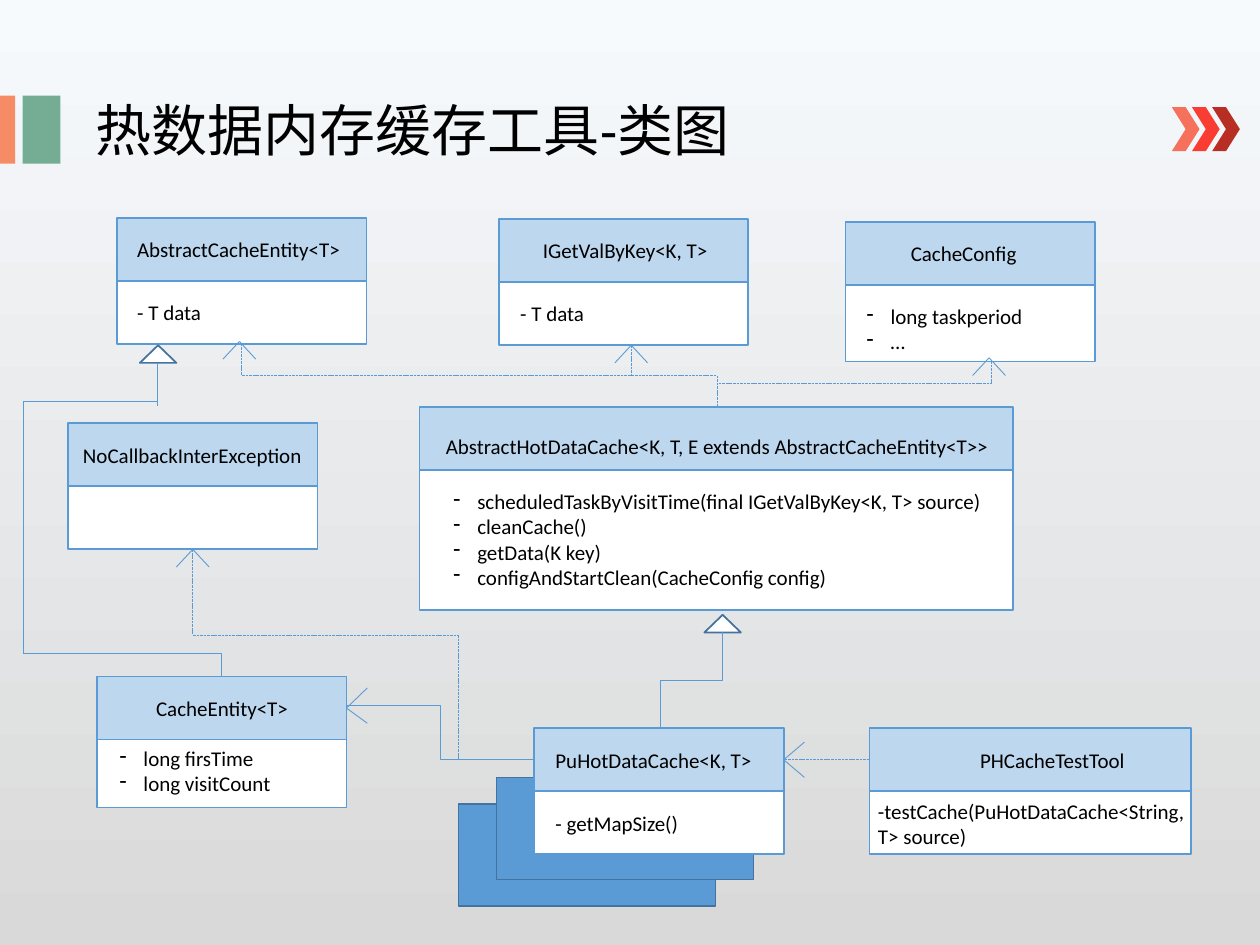
import pptx
import pptx.util
import pptx.dml.color
import pptx.enum.dml
import pptx.enum.shapes
import pptx.enum.text
import pptx.oxml.ns
import lxml.etree

COLORS = {
    "top": "F7FAFD", "bottom": "D9D9D9", "black": "000000", "white": "FFFFFF",
    "header": "BDD7EE", "blue": "5B9BD5", "edge": "43739E",
    "orange": "F58C65", "green": "74AD93",
    "coral": "F5715B", "red": "F93D32", "brick": "B82E24",
}
COLS, ROWS = 100, 75
SHAPE = pptx.enum.shapes.MSO_SHAPE
CONNECTOR = pptx.enum.shapes.MSO_CONNECTOR
TOP, LEFT, BOTTOM, RIGHT = range(4)


def rgb(name):
    return pptx.dml.color.RGBColor.from_string(COLORS[name])


def add_child(parent, tag, **attrs):
    e = lxml.etree.SubElement(parent, pptx.oxml.ns.qn(tag))
    for key, value in attrs.items():
        e.set(key, str(value))
    return e


def write(p, text, size=12, color="black", font="Calibri", bullet=None):
    r = p.add_run()
    r.text = text
    r.font.size = pptx.util.Pt(size)
    r.font.name = font
    r.font.color.rgb = rgb(color)
    if bullet:
        pPr = p._p.get_or_add_pPr()
        indent = pptx.util.Inches(0.19)
        pPr.set("marL", str(indent))
        pPr.set("indent", str(-indent))
        add_child(pPr, "a:buChar", char=bullet)


class Diagram:
    def __init__(self, prs):
        self.col = prs.slide_width / COLS
        self.row = prs.slide_height / ROWS
        self.s = prs.slides.add_slide(prs.slide_layouts[6])

    def x(self, n):
        return round(n * self.col)

    def y(self, n):
        return round(n * self.row)

    def background(self, first, last):
        fill = self.s.background.fill
        fill.gradient()
        fill.gradient_angle = 270
        for stop, color, position in zip(fill.gradient_stops, (first, last), (0, 1)):
            stop.color.rgb = rgb(color)
            stop.position = position

    def shape(self, x, y, w, h, fill, line=None, kind=SHAPE.RECTANGLE):
        sp = self.s.shapes.add_shape(kind, self.x(x), self.y(y), self.x(w), self.y(h))
        sp.shadow.inherit = False
        sp.fill.solid()
        sp.fill.fore_color.rgb = rgb(fill)
        if line:
            sp.line.color.rgb = rgb(line)
            sp.line.width = pptx.util.Pt(1)
        else:
            sp.line.fill.background()
        return sp

    def text(self, x, y, w, h, lines, **style):
        sp = self.s.shapes.add_textbox(self.x(x), self.y(y), self.x(w), self.y(h))
        tf = sp.text_frame
        tf.word_wrap = True
        tf.auto_size = pptx.enum.text.MSO_AUTO_SIZE.SHAPE_TO_FIT_TEXT
        for i, line in enumerate(lines):
            p = tf.add_paragraph() if i else tf.paragraphs[0]
            write(p, line, **style)

    def uml(self, x, y, name, name_dx, members=(), members_dx=0.7, members_dy=1, w=19.8,
            body=5, name_dy=1, text_w=21.9, bullet=None):
        head = self.shape(x, y, w, 5, "header", "blue")
        base = self.shape(x, y + 5, w, body, "white", "blue")
        self.text(x + name_dx, y + name_dy, text_w, 3, [name])
        if members:
            self.text(x + members_dx, y + 5 + members_dy, text_w, 1 + 2 * len(members),
                      members, bullet=bullet)
        return head, base

    def line(self, start, end, dash=False, kind=CONNECTOR.STRAIGHT, begin=None, finish=None):
        c = self.s.shapes.add_connector(kind, self.x(start[0]), self.y(start[1]),
                                        self.x(end[0]), self.y(end[1]))
        c.line.color.rgb = rgb("blue")
        c.line.width = pptx.util.Pt(0.5)
        if dash:
            c.line.dash_style = pptx.enum.dml.MSO_LINE.SQUARE_DOT
        add_child(c._element.spPr, "a:effectLst")
        if begin:
            c.begin_connect(*begin)
        if finish:
            c.end_connect(*finish)
        return c

    def elbow(self, start, end, dash=False, vertical=True, corner=False, bend=None):
        (x1, y1), (x2, y2) = start, end
        turn = 0
        if vertical:
            turn = 90 if x2 > x1 and y2 < y1 else 270
            sign = 1 if turn == 90 else -1
            cx, cy = (x1 + x2) / 2, (y1 + y2) / 2
            dx, dy = sign * (y2 - y1) / 2, sign * (x1 - x2) / 2
            start, end = (cx - dx, cy - dy), (cx + dx, cy + dy)
        c = self.line(start, end, dash, CONNECTOR.ELBOW)
        spPr = c._element.spPr
        if turn:
            spPr.find(pptx.oxml.ns.qn("a:xfrm")).set("rot", str(turn * 60000))
        geom = spPr.find(pptx.oxml.ns.qn("a:prstGeom"))
        if corner:
            geom.set("prst", "bentConnector2")
        if bend is not None:
            guides = geom.find(pptx.oxml.ns.qn("a:avLst"))
            add_child(guides, "a:gd", name="adj1", fmla=f"val {round(bend * 100000)}")

    def open_arrow(self, tip, upward=True, target=None):
        x, y = tip
        for side in (-1, 1):
            tail = (x + side * 1.3, y + 1.4) if upward else (x + 1.65, y + side * 1.4)
            self.line(tail, tip, finish=target)

    def triangle(self, x, y):
        self.shape(x, y, 2.9, 1.4, "white", "edge", SHAPE.ISOSCELES_TRIANGLE)


def main():
    prs = pptx.Presentation()
    prs.slide_width = pptx.util.Inches(10)
    prs.slide_height = pptx.util.Inches(7.5)
    d = Diagram(prs)
    d.background("top", "bottom")

    for x, y in ((36.4, 63.8), (39.4, 61.7)):
        d.shape(x, y, 20.4, 8.1, "blue", "edge")
    d.shape(0, 7.6, 1.2, 5.4, "orange")
    d.shape(1.8, 7.6, 3, 5.4, "green")
    d.text(6.6, 7.1, 69.7, 6.4, ["热数据内存缓存工具-类图"], size=32)
    for i, color in enumerate(("coral", "red", "brick")):
        d.shape(93 + 1.6 * i, 8.5, 2.2, 3.5, color, kind=SHAPE.CHEVRON)

    d.uml(33.3, 32.3, "AbstractHotDataCache<K, T, E extends AbstractCacheEntity<T>>", 1.1,
          ["scheduledTaskByVisitTime(final IGetValByKey<K, T> source)", "cleanCache()",
           "getData(K key)", "configAndStartClean(CacheConfig config)"],
          members_dx=1.7, w=47.1, body=11.1, name_dy=1.6, text_w=66, bullet="-")
    cache_head, _ = d.uml(42.4, 57.8, "PuHotDataCache<K, T>", 0.7, ["- getMapSize()"])
    d.uml(9.3, 17.3, "AbstractCacheEntity<T>", 0.6, ["- T data"], 0.6)
    d.uml(67.1, 17.6, "CacheConfig", 4.2, ["long taskperiod", "…"], body=6.1, bullet="-")
    d.uml(39.6, 17.4, "IGetValByKey<K, T>", 2.5, ["- T data"])
    _, exception_body = d.uml(5.4, 33.6, "NoCallbackInterException", 0.2)
    tool_head, _ = d.uml(69, 57.8, "PHCacheTestTool", 7.8,
                         ["-testCache(PuHotDataCache<String, T> source)"],
                         -0.3, 0.1, w=25.5, text_w=26.4)
    entity_head, _ = d.uml(7.7, 53.7, "CacheEntity<T>", 3.7, ["long firsTime", "long visitCount"],
                           0.8, 0, body=5.4, bullet="-")

    d.triangle(55.9, 48.8)
    d.elbow((52.4, 57.8), (57.3, 50.2))
    d.triangle(11.1, 27.4)
    d.elbow((17.6, 53.7), (1.8, 51.9), corner=True)
    d.elbow((1.9, 51.9), (12.5, 32.2), bend=1.015)
    d.line((12.5, 32), (12.5, 28.8))

    d.elbow((56.9, 32.3), (19.2, 27.3), dash=True)
    d.elbow((56.9, 32.3), (78.7, 28.6), dash=True)
    d.line((50.1, 27.4), (50.1, 29.8), dash=True)
    for tip in ((19, 27.1), (50.1, 27.4), (78.5, 28.4)):
        d.open_arrow(tip)

    d.elbow((15.3, 43.6), (36.4, 50.4), dash=True, corner=True)
    d.elbow((36.4, 50.4), (42.4, 60.3), dash=True, corner=True)
    d.open_arrow((15.3, 43.6), target=(exception_body, BOTTOM))
    d.elbow((42.4, 60.3), (27.5, 56), vertical=False)
    d.open_arrow((27.5, 56), upward=False, target=(entity_head, RIGHT))
    d.line((69, 60.3), (62.2, 60.3), dash=True,
           begin=(tool_head, LEFT), finish=(cache_head, RIGHT))
    d.open_arrow((62.2, 60.3), upward=False, target=(cache_head, RIGHT))

    prs.save("out.pptx")


if __name__ == "__main__":
    main()
